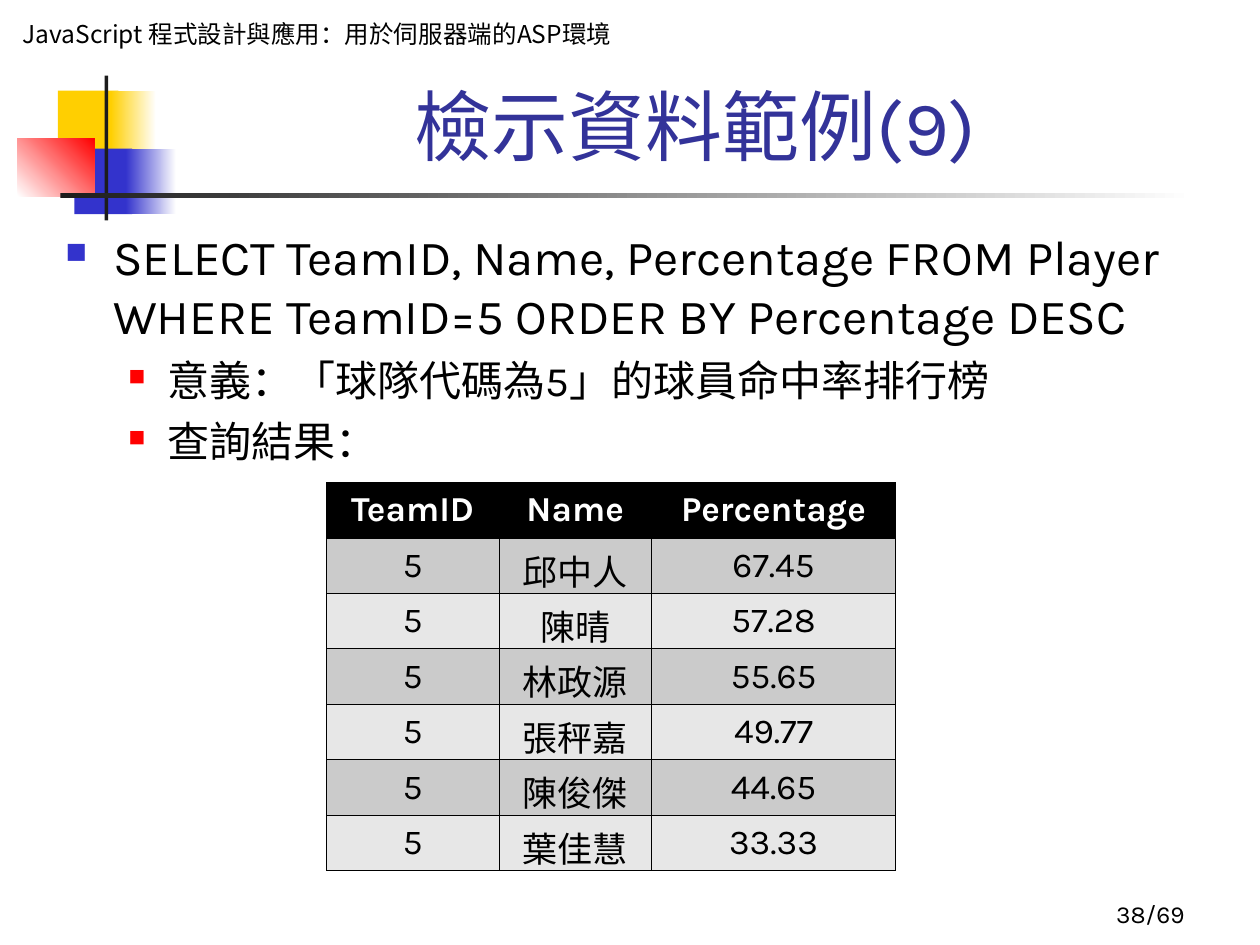
from dataclasses import dataclass
from typing import NamedTuple, Optional

import lxml.etree
import pptx
import pptx.dml.color
import pptx.enum.shapes
import pptx.enum.text
import pptx.oxml.ns
import pptx.util
from pptx.util import Inches

ALIGN = pptx.enum.text.PP_ALIGN
ANCHOR = pptx.enum.text.MSO_ANCHOR
qn = pptx.oxml.ns.qn


@dataclass(frozen=True)
class Theme:
    latin: str = "Karla"
    chinese: str = "Noto Sans CJK SC"
    black: str = "000000"
    white: str = "FFFFFF"
    yellow: str = "FFCF01"
    blue: str = "3333CC"
    red: str = "FF0000"
    charcoal: str = "1C1C1C"
    title_color: str = "333399"
    bands: tuple = ("CBCBCB", "E7E7E7")
    title_size: float = 44
    statement_size: float = 28
    detail_size: float = 24
    table_size: float = 20
    small_size: float = 14
    border_width: float = 0.45


THEME = Theme()


class Box(NamedTuple):
    left: float
    top: float
    width: float
    height: float

    def lengths(self) -> list:
        return [Inches(value) for value in self]


class Block(NamedTuple):
    box: Box
    start: str
    end: Optional[str] = None
    angle: float = 0


class Bullet(NamedTuple):
    text: str
    size: float
    color: str
    scale: int
    margin: float
    hanging: float
    space_before: float
    level: int


BLOCKS = [
    Block(Box(0.46, 0.72, 0.48, 0.52), THEME.yellow),
    Block(Box(0.88, 0.72, 0.36, 0.52), THEME.yellow, THEME.white),
    Block(Box(0.59, 1.18, 0.46, 0.52), THEME.blue),
    Block(Box(1, 1.18, 0.4, 0.52), THEME.blue, THEME.white),
    Block(Box(0.14, 1.1, 0.61, 0.46), THEME.white, THEME.red, 45),
    Block(Box(0.83, 0.6, 0.03, 1.15), THEME.charcoal),
    Block(Box(0.48, 1.53, 9, 0.04), THEME.charcoal, THEME.white),
]

DETAIL = (THEME.detail_size, THEME.red, 55, 0.81, 0.31, 6, 1)
BULLETS = [
    Bullet("SELECT TeamID, Name, Percentage FROM Player WHERE TeamID=5 ORDER BY Percentage DESC",
           THEME.statement_size, THEME.blue, 60, 0.38, 0.38, 0, 0),
    Bullet("意義：「球隊代碼為5」的球員命中率排行榜", *DETAIL),
    Bullet("查詢結果：", *DETAIL),
]

HEADINGS = ("TeamID", "Name", "Percentage")
COLUMN_WIDTHS = (1.37, 1.21, 1.94)
ROW_HEIGHT = 0.44
TEAM = "5"
PLAYERS = [("邱中人", "67.45"), ("陳晴", "57.28"), ("林政源", "55.65"),
           ("張秤嘉", "49.77"), ("陳俊傑", "44.65"), ("葉佳慧", "33.33")]


def rgb(color: str) -> pptx.dml.color.RGBColor:
    return pptx.dml.color.RGBColor.from_string(color)


def add_run(paragraph, text: str, size: float, color: str = THEME.black,
            latin: str = THEME.latin, chinese: str = THEME.latin, bold: bool = False) -> None:
    run = paragraph.add_run()
    run.text = text
    run.font.size = pptx.util.Pt(size)
    run.font.bold = bold
    run.font.color.rgb = rgb(color)
    run.font.name = latin
    east_asian = lxml.etree.SubElement(run.font._element, qn("a:ea"))
    east_asian.set("typeface", chinese)


def add_text_box(slide, box: Box, anchor=ANCHOR.TOP):
    frame = slide.shapes.add_textbox(*box.lengths()).text_frame
    frame.word_wrap = True
    frame.vertical_anchor = anchor
    return frame


def add_block(slide, block: Block) -> None:
    shape = slide.shapes.add_shape(pptx.enum.shapes.MSO_SHAPE.RECTANGLE, *block.box.lengths())
    shape.shadow.inherit = False
    shape.line.fill.background()
    if block.end is None:
        shape.fill.solid()
        shape.fill.fore_color.rgb = rgb(block.start)
        return
    shape.fill.gradient()
    shape.fill.gradient_angle = block.angle
    for stop, color in zip(shape.fill.gradient_stops, (block.start, block.end)):
        stop.color.rgb = rgb(color)


def add_course_name(slide) -> None:
    frame = add_text_box(slide, Box(0.08, 0.08, 4.92, 0.57))
    frame.margin_top = Inches(0.07)
    paragraph = frame.paragraphs[0]
    paragraph.line_spacing = pptx.util.Pt(16.6)
    add_run(paragraph, "JavaScript 程式設計與應用：用於伺服器端的ASP環境",
            THEME.small_size, latin=THEME.chinese, chinese=THEME.chinese)


def set_title(slide, text: str) -> None:
    title = slide.shapes.title
    title.left, title.top, title.width, title.height = Box(1.26, 0.58, 8.52, 0.83).lengths()
    frame = title.text_frame
    frame.auto_size = pptx.enum.text.MSO_AUTO_SIZE.NONE
    frame.vertical_anchor = ANCHOR.BOTTOM
    paragraph = frame.paragraphs[0]
    paragraph.alignment = ALIGN.CENTER
    add_run(paragraph, text, THEME.title_size, THEME.title_color)


def add_bullet(paragraph, bullet: Bullet) -> None:
    paragraph.level = bullet.level
    paragraph.space_before = pptx.util.Pt(bullet.space_before)
    properties = paragraph._p.get_or_add_pPr()
    properties.set("marL", str(Inches(bullet.margin)))
    properties.set("indent", str(-Inches(bullet.hanging)))
    color = lxml.etree.SubElement(properties, qn("a:buClr"))
    lxml.etree.SubElement(color, qn("a:srgbClr")).set("val", bullet.color)
    lxml.etree.SubElement(properties, qn("a:buSzPct")).set("val", str(bullet.scale * 1000))
    lxml.etree.SubElement(properties, qn("a:buChar")).set("char", "■")
    add_run(paragraph, bullet.text, bullet.size)


def add_borders(cell) -> None:
    properties = cell._tc.get_or_add_tcPr()
    for position, side in enumerate(("a:lnL", "a:lnR", "a:lnT", "a:lnB")):
        line = lxml.etree.Element(qn(side), w=str(pptx.util.Pt(THEME.border_width)))
        fill = lxml.etree.SubElement(line, qn("a:solidFill"))
        lxml.etree.SubElement(fill, qn("a:srgbClr")).set("val", THEME.black)
        properties.insert(position, line)


def add_ranking(slide) -> None:
    rows = [HEADINGS] + [(TEAM, *player) for player in PLAYERS]
    box = Box(2.59, 3.83, sum(COLUMN_WIDTHS), ROW_HEIGHT * len(rows))
    table = slide.shapes.add_table(len(rows), len(HEADINGS), *box.lengths()).table
    for column, width in zip(table.columns, COLUMN_WIDTHS):
        column.width = Inches(width)
    for row_index, values in enumerate(rows):
        heading = row_index == 0
        table.rows[row_index].height = Inches(ROW_HEIGHT)
        for column_index, text in enumerate(values):
            cell = table.cell(row_index, column_index)
            cell.vertical_anchor = ANCHOR.MIDDLE
            cell.fill.solid()
            cell.fill.fore_color.rgb = rgb(THEME.black if heading else THEME.bands[(row_index - 1) % 2])
            add_borders(cell)
            paragraph = cell.text_frame.paragraphs[0]
            paragraph.alignment = ALIGN.CENTER
            add_run(paragraph, text, THEME.table_size, THEME.white if heading else THEME.black,
                    chinese=THEME.chinese, bold=heading)


def main() -> None:
    presentation = pptx.Presentation()
    presentation.slide_width, presentation.slide_height = Inches(10), Inches(7.5)
    slide = presentation.slides.add_slide(presentation.slide_layouts[5])
    for block in BLOCKS:
        add_block(slide, block)
    add_course_name(slide)
    set_title(slide, "檢示資料範例(9)")
    body = add_text_box(slide, Box(0.42, 1.75, 9.38, 5.08))
    for index, bullet in enumerate(BULLETS):
        add_bullet(body.add_paragraph() if index else body.paragraphs[0], bullet)
    add_ranking(slide)
    page = add_text_box(slide, Box(7.42, 6.92, 2.08, 0.5), ANCHOR.BOTTOM).paragraphs[0]
    page.alignment = ALIGN.RIGHT
    add_run(page, "38/69", THEME.small_size)
    presentation.save("out.pptx")


if __name__ == "__main__":
    main()
